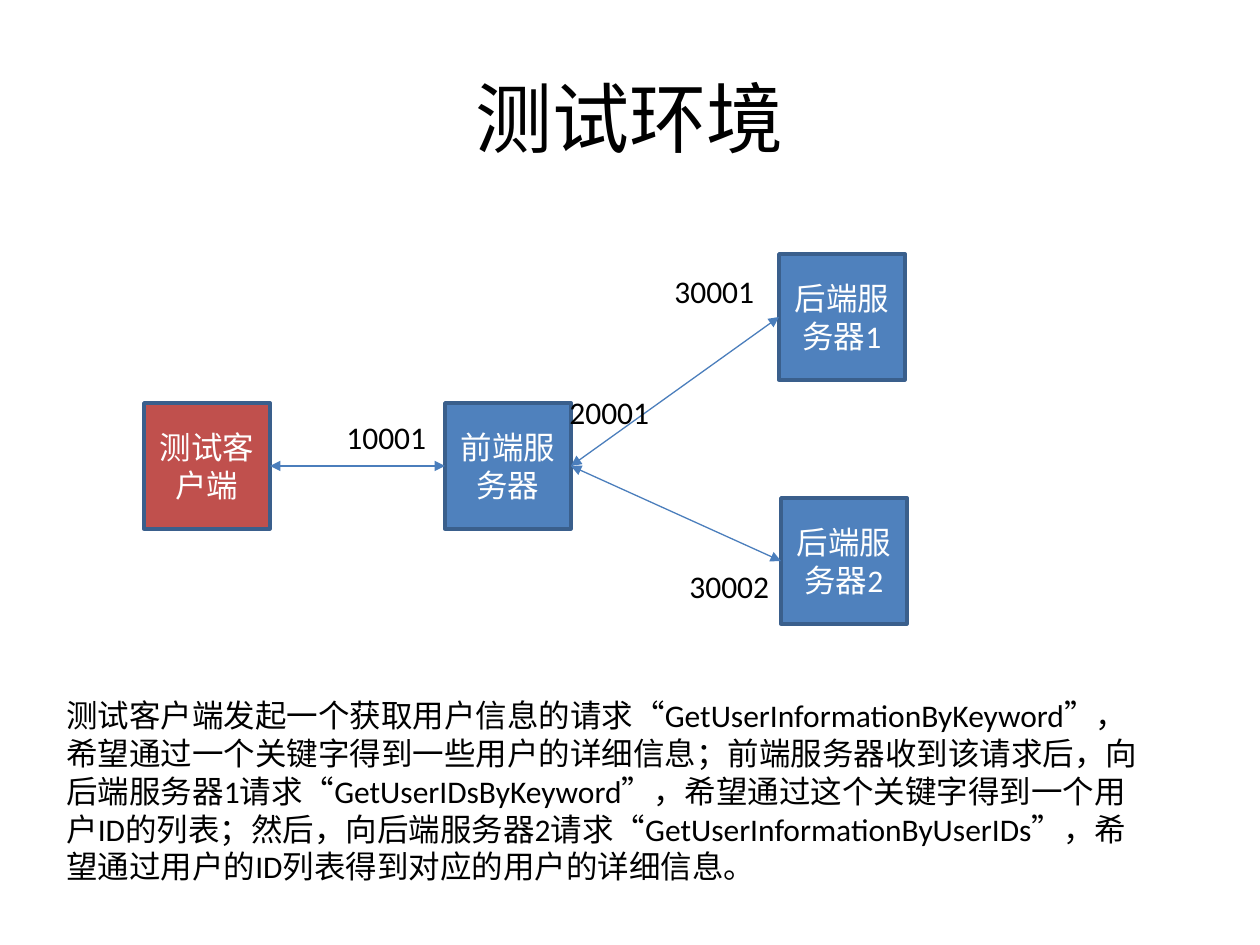
from lxml import etree
from pptx import Presentation
from pptx.dml.color import RGBColor
from pptx.enum.shapes import MSO_CONNECTOR, MSO_SHAPE
from pptx.enum.text import MSO_ANCHOR, MSO_AUTO_SIZE, PP_ALIGN
from pptx.oxml.ns import qn
from pptx.util import Emu, Pt

RECT, STRAIGHT = MSO_SHAPE.RECTANGLE, MSO_CONNECTOR.STRAIGHT
MIDDLE, TOP = MSO_ANCHOR.MIDDLE, MSO_ANCHOR.TOP
LEFT, CENTER = PP_ALIGN.LEFT, PP_ALIGN.CENTER
GROW = MSO_AUTO_SIZE.SHAPE_TO_FIT_TEXT
LEFT_SITE, RIGHT_SITE = 1, 3

SLIDE = (1260, 945)
TITLE = ("测试环境", (63, 38, 1134, 157))
NODE_SIZE = 126
NODES = {
    "client": ("测试客户端", 144, 403, "client"),
    "front": ("前端服务器", 445, 403, "server"),
    "back1": ("后端服务器1", 779, 254, "server"),
    "back2": ("后端服务器2", 781, 498, "server"),
}
LINKS = [("client", "front"), ("front", "back1"), ("front", "back2")]
PORT_SIZE = (106, 50)
PORTS = [("10001", 334, 412), ("30001", 662, 266), ("30002", 677, 561), ("20001", 557, 387)]
DESCRIPTION = (
    "测试客户端发起一个获取用户信息的请求“GetUserInformationByKeyword”,"
    "希望通过一个关键字得到一些用户的详细信息;前端服务器收到该请求后,"
    "向后端服务器1请求“GetUserIDsByKeyword”,希望通过这个关键字得到一个用户ID的列表;"
    "然后,向后端服务器2请求“GetUserInformationByUserIDs”,"
    "希望通过用户的ID列表得到对应的用户的详细信息。"
).replace(",", "\uff0c").replace(";", "\uff1b")
DESCRIPTION_BOX = (54, 690, 1111, 204)

THEME = {
    "font": "Calibri", "title": 44, "body": 18,
    "text": "000000", "node_text": "FFFFFF",
    "client": "C0504D", "server": "4F81BD",
    "border": "3A5F8C", "border_width": 2,
    "link": "4B7EBC", "link_width": 0.75,
}


def px(*values):
    return [Emu(round(v * 914400 / 126)) for v in values]


def color(name):
    return RGBColor.from_string(THEME[name])


def write(sp, text, size="body", ink="text", align=LEFT, anchor=TOP, wrap=True):
    tf = sp.text_frame
    tf.text = text
    tf.word_wrap = wrap
    tf.vertical_anchor = anchor
    p = tf.paragraphs[0]
    p.alignment = align
    font = p.runs[0].font
    font.name = THEME["font"]
    font.size = Pt(THEME[size])
    font.color.rgb = color(ink)


def add_text(box, text, **style):
    sp = s.shapes.add_textbox(*px(*box))
    write(sp, text, **style)
    return sp


def add_node(text, x, y, fill):
    sp = s.shapes.add_shape(RECT, *px(x, y, NODE_SIZE, NODE_SIZE))
    sp.shadow.inherit = False
    sp.fill.solid()
    sp.fill.fore_color.rgb = color(fill)
    sp.line.color.rgb = color("border")
    sp.line.width = Pt(THEME["border_width"])
    write(sp, text, ink="node_text", align=CENTER, anchor=MIDDLE)
    return sp


def add_link(start, end):
    link = s.shapes.add_connector(STRAIGHT, 0, 0, 0, 0)
    link.begin_connect(start, RIGHT_SITE)
    link.end_connect(end, LEFT_SITE)
    link.line.color.rgb = color("link")
    link.line.width = Pt(THEME["link_width"])
    ln = link.line._get_or_add_ln()
    for tag in ("a:headEnd", "a:tailEnd"):
        etree.SubElement(ln, qn(tag), type="triangle")
    etree.SubElement(link._element.spPr, qn("a:effectLst"))


prs = Presentation()
prs.slide_width, prs.slide_height = px(*SLIDE)
s = prs.slides.add_slide(prs.slide_layouts[6])

title, title_box = TITLE
add_text(title_box, title, size="title", align=CENTER, anchor=MIDDLE)

nodes = {key: add_node(*node) for key, node in NODES.items()}
for start, end in LINKS:
    add_link(nodes[start], nodes[end])

add_text(DESCRIPTION_BOX, DESCRIPTION).text_frame.auto_size = GROW
for port, x, y in PORTS:
    add_text((x, y, *PORT_SIZE), port, wrap=False).text_frame.auto_size = GROW

prs.save("out.pptx")
